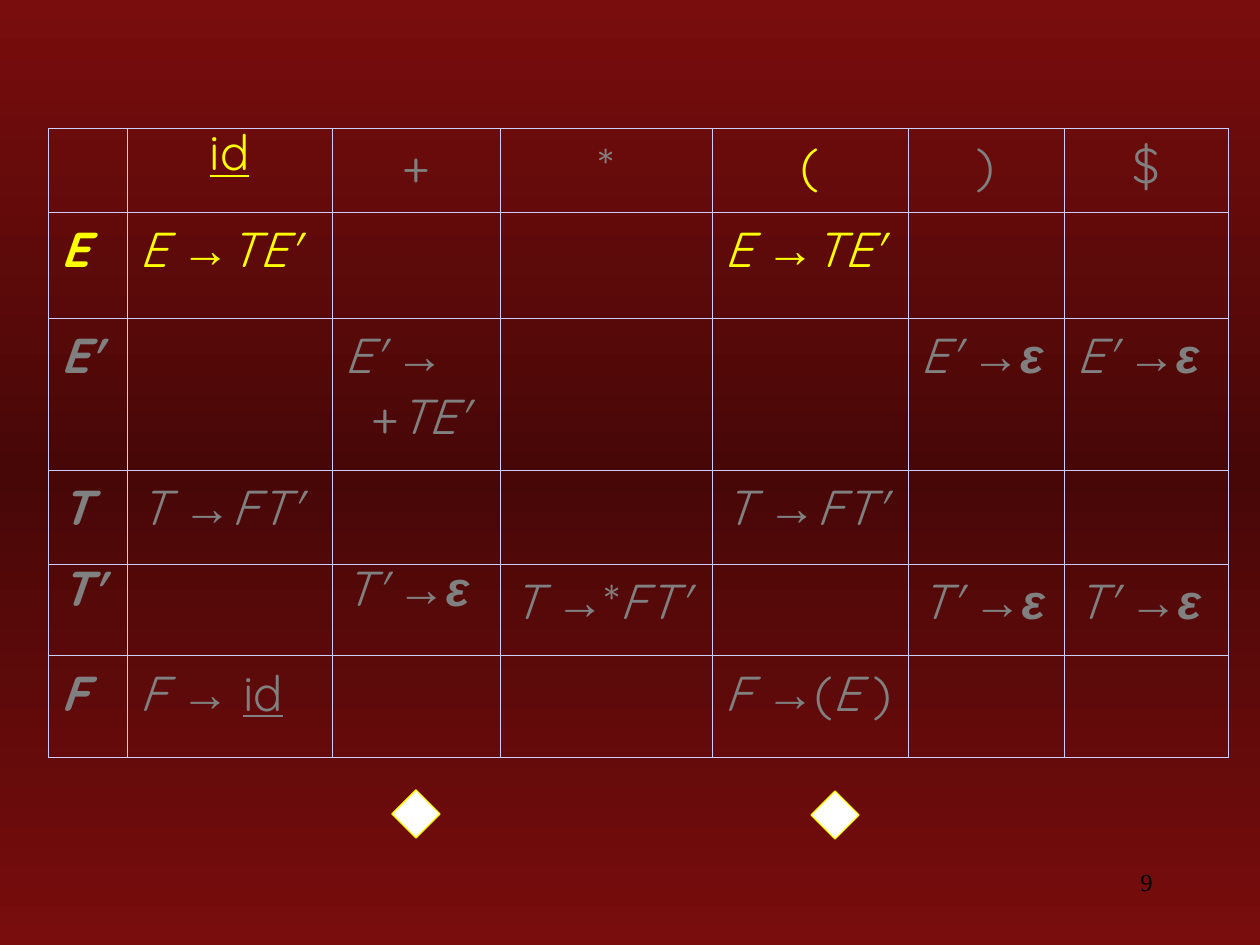
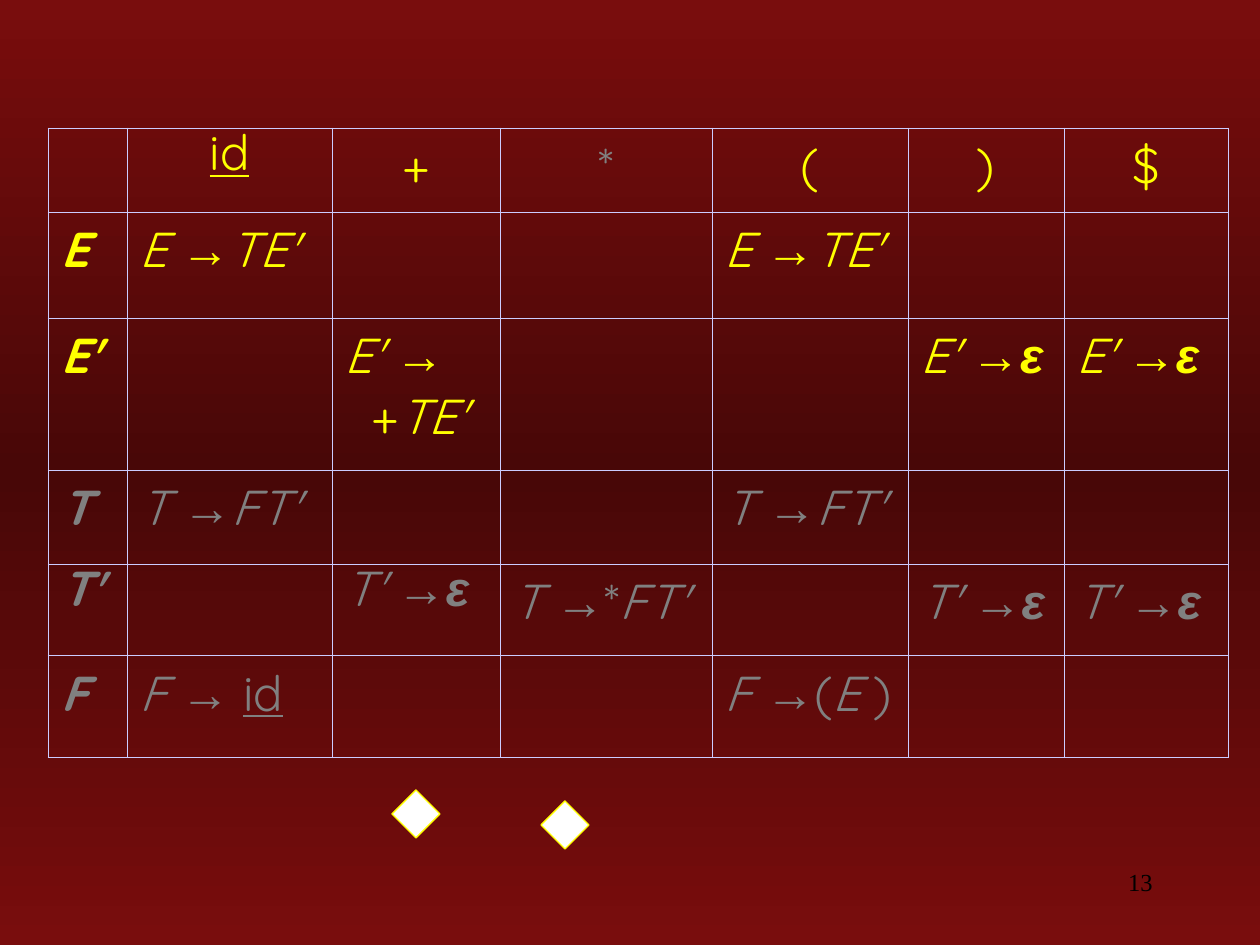
import copy
import itertools

import pptx
import pptx.dml.color
import pptx.enum.shapes
import pptx.enum.text
import pptx.oxml
import pptx.oxml.ns
import pptx.util

PX = 914400 / 126
qn = pptx.oxml.ns.qn

COLORS = {
    "edge": "790D0D",
    "middle": "480707",
    "grid": "CCCCFF",
    "lit": "FFFF00",
    "dim": "808080",
    "marker": "FFFFFF",
    "number": "000000",
}

# LL(1) parsing table: terminals across, nonterminals down
TERMINALS = ["id", "+", "*", "(", ")", "$"]
RULES = {
    "E": {"id": "E →TE'", "(": "E →TE'"},
    "E'": {"+": "E' →\n+TE'", ")": "E' →ε", "$": "E' →ε"},
    "T": {"id": "T →FT'", "(": "T →FT'"},
    "T'": {"+": "T' →ε", "*": "T →*FT'", ")": "T' →ε", "$": "T' →ε"},
    "F": {"id": "F → id", "(": "F →(E )"},
}
TIGHT = {(0, 1), (4, 0), (4, 2)}  # cells set with reduced line spacing
COL_WIDTHS = [79, 205, 168, 212, 196, 156, 164]
ROW_HEIGHTS = [84, 106, 152, 94, 92, 102]
HANG = 27


def px(n):
    return pptx.util.Emu(round(n * PX))


def rgb(name):
    return pptx.dml.color.RGBColor.from_string(COLORS[name])


def set_background(s):
    fill = s.background.fill
    fill.gradient()
    fill.gradient_angle = 270
    stop_list = next(s.element.iter(qn("a:gsLst")))
    stop_list.append(copy.deepcopy(stop_list[0]))
    for stop, pos, name in zip(fill.gradient_stops, (0, 0.5, 1),
                               ("edge", "middle", "edge")):
        stop.position = pos
        stop.color.rgb = rgb(name)


def split_symbols(text):
    """Group the text into (kind, piece); a space joins what precedes it."""
    kinds = []
    for ch in text:
        if ch == " ":
            kinds.append(kinds[-1])
        elif ch in "→ε\n":
            kinds.append(ch)
        elif ch.islower():
            kinds.append("terminal")
        else:
            kinds.append("symbol" if ch in "+*()$" else "variable")
    for kind, group in itertools.groupby(zip(kinds, text), lambda pair: pair[0]):
        yield kind, "".join(ch for _, ch in group)


def write_symbols(p, text, color, bold=False):
    for kind, piece in split_symbols(text):
        if kind == "\n":
            p.add_line_break()
            p._p.get_or_add_pPr().set("marL", str(px(HANG)))
            p._p.get_or_add_pPr().set("indent", str(px(-HANG)))
            continue
        r = p.add_run()
        r.text = piece
        f = r.font
        f.size = pptx.util.Pt(28)
        f.name = "Arial" if kind in "→ε" else "Quicksand"
        f.bold = bold or kind in "→ε"
        f.italic = kind in ("variable", "ε")
        f.underline = kind == "terminal"
        f.color.rgb = rgb(color)


def set_borders(cell):
    tc_pr = cell._tc.get_or_add_tcPr()
    for side in "LRTB":
        tc_pr.append(pptx.oxml.parse_xml(
            f'<a:ln{side} {pptx.oxml.ns.nsdecls("a")} w="{pptx.util.Pt(0.45)}">'
            f'<a:solidFill><a:srgbClr val="{COLORS["grid"]}"/></a:solidFill>'
            f'</a:ln{side}>'))


def add_parsing_table(s, lit_rows):
    frame = s.shapes.add_table(len(ROW_HEIGHTS), len(COL_WIDTHS), px(48), px(128),
                               px(sum(COL_WIDTHS)), px(sum(ROW_HEIGHTS)))
    table = frame.table
    table.first_row = table.horz_banding = False
    for column, width in zip(table.columns, COL_WIDTHS):
        column.width = px(width)
    for row, height in zip(table.rows, ROW_HEIGHTS):
        row.height = px(height)
    for cell in table.iter_cells():
        set_borders(cell)
        cell.fill.background()

    def fill_cell(row, col, text, lit, bold=False):
        p = table.cell(row, col).text_frame.paragraphs[0]
        if row == 0:
            p.alignment = pptx.enum.text.PP_ALIGN.CENTER
        if (row, col) in TIGHT:
            p.line_spacing = 0.75
        write_symbols(p, text, "lit" if lit else "dim", bold)

    # A terminal is lit once a lit row has a rule for it
    for col, terminal in enumerate(TERMINALS, 1):
        lit = any(terminal in RULES[name] for name in lit_rows)
        fill_cell(0, col, terminal, lit)
    for row, (name, rules) in enumerate(RULES.items(), 1):
        fill_cell(row, 0, name, name in lit_rows, bold=True)
        for terminal, rule in rules.items():
            fill_cell(row, TERMINALS.index(terminal) + 1, rule, name in lit_rows)


def add_diamond(s, x, y):
    sp = s.shapes.add_shape(pptx.enum.shapes.MSO_SHAPE.DIAMOND,
                            px(x), px(y), px(48), px(48))
    sp.shadow.inherit = False
    sp.fill.solid()
    sp.fill.fore_color.rgb = rgb("marker")
    sp.line.color.rgb = rgb("lit")
    sp.line.width = pptx.util.Pt(0.75)


def add_number(s, number):
    tf = s.shapes.add_textbox(px(903), px(861), px(262), px(63)).text_frame
    tf.word_wrap = True
    p = tf.paragraphs[0]
    p.text = str(number)
    p.alignment = pptx.enum.text.PP_ALIGN.RIGHT
    p.font.size = pptx.util.Pt(14)
    p.font.name = "Times New Roman"
    p.font.color.rgb = rgb("number")


def add_table_slide(prs, number, lit_rows, second_diamond):
    s = prs.slides.add_slide(prs.slide_layouts[6])
    set_background(s)
    add_parsing_table(s, lit_rows)
    add_diamond(s, 392, 790)
    add_diamond(s, *second_diamond)
    add_number(s, number)


def main():
    prs = pptx.Presentation()
    prs.slide_width, prs.slide_height = px(1260), px(945)
    # Row E filled in
    add_table_slide(prs, 9, ["E"], (811, 791))
    # Rows E and E' filled in
    add_table_slide(prs, 13, ["E", "E'"], (541, 801))
    prs.save("out.pptx")


if __name__ == "__main__":
    main()
